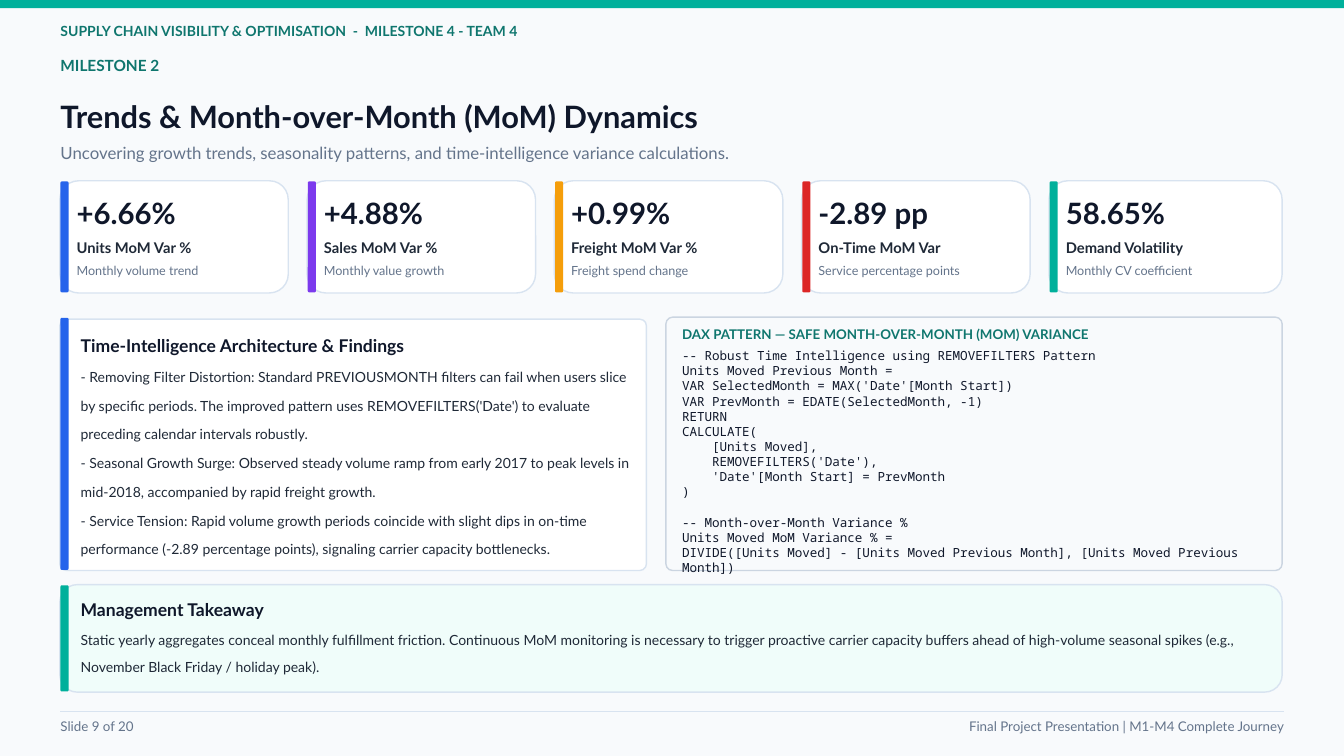
from dataclasses import dataclass, field

from pptx import Presentation
from pptx.dml.color import RGBColor
from pptx.enum.shapes import MSO_CONNECTOR, MSO_SHAPE
from pptx.enum.text import MSO_ANCHOR, MSO_AUTO_SIZE, PP_ALIGN
from pptx.oxml.ns import qn
from pptx.slide import Slide
from pptx.util import Emu, Pt

EMU_PER_PX = 9144  # 100 px to the inch


@dataclass(frozen=True)
class TextStyle:
    size: float
    color: str
    bold: bool = False
    font: str = "Lato"


@dataclass(frozen=True)
class Theme:
    background: str = "F8FAFC"
    white: str = "FFFFFF"
    mint: str = "F0FDFA"
    border: str = "D8E3F0"
    code_border: str = "CBD5E1"
    teal: str = "00B09B"
    blue: str = "2563EB"
    purple: str = "7C3AED"
    amber: str = "F59E0B"
    red: str = "DC2626"
    banner: TextStyle = TextStyle(15, "0F766E", True)
    milestone: TextStyle = TextStyle(16.5, "0F766E", True)
    title: TextStyle = TextStyle(33, "0F172A", True)
    subtitle: TextStyle = TextStyle(18, "64748B")
    value: TextStyle = TextStyle(31.5, "0F172A", True)
    label: TextStyle = TextStyle(15.8, "1F2937", True)
    note: TextStyle = TextStyle(13.5, "64748B")
    heading: TextStyle = TextStyle(18.8, "0F172A", True)
    body: TextStyle = TextStyle(15, "1F2937")
    code_title: TextStyle = TextStyle(14.3, "0F766E", True)
    code: TextStyle = TextStyle(13.5, "0F172A", font="Noto Sans Mono")
    footer: TextStyle = TextStyle(14.3, "64748B")


@dataclass(frozen=True)
class Box:
    left: int
    top: int
    width: int
    height: int

    def emu(self) -> tuple[Emu, ...]:
        return tuple(Emu(n * EMU_PER_PX) for n in (self.left, self.top, self.width, self.height))


@dataclass(frozen=True)
class Line:
    text: str
    style: TextStyle
    leading: float
    space_before: float = 0


@dataclass(frozen=True)
class TextBlock:
    box: Box
    lines: list[Line]
    align: PP_ALIGN = PP_ALIGN.LEFT


@dataclass(frozen=True)
class Panel:
    box: Box
    radius: int
    fill: str
    border: str
    accent: str = ""
    accent_box: Box = field(default=Box(0, 0, 0, 0))


@dataclass(frozen=True)
class Metric:
    value: str
    label: str
    note: str
    accent: str


THEME = Theme()

METRICS = [
    Metric("+6.66%", "Units MoM Var %", "Monthly volume trend", THEME.blue),
    Metric("+4.88%", "Sales MoM Var %", "Monthly value growth", THEME.purple),
    Metric("+0.99%", "Freight MoM Var %", "Freight spend change", THEME.amber),
    Metric("-2.89 pp", "On-Time MoM Var", "Service percentage points", THEME.red),
    Metric("58.65%", "Demand Volatility", "Monthly CV coefficient", THEME.teal),
]

PANELS = [
    Panel(Box(89, 475, 873, 374), 10, THEME.white, THEME.border, THEME.blue, Box(90, 473, 12, 375)),
    Panel(Box(991, 472, 917, 377), 10, THEME.background, THEME.code_border),
    Panel(Box(89, 870, 1819, 160), 26, THEME.mint, THEME.border, THEME.teal, Box(90, 871, 12, 158)),
]

FINDINGS = [
    "- Removing Filter Distortion: Standard PREVIOUSMONTH filters can fail when users slice by specific "
    "periods. The improved pattern uses REMOVEFILTERS('Date') to evaluate preceding calendar intervals robustly.",
    "- Seasonal Growth Surge: Observed steady volume ramp from early 2017 to peak levels in mid-2018, "
    "accompanied by rapid freight growth.",
    "- Service Tension: Rapid volume growth periods coincide with slight dips in on-time performance "
    "(-2.89 percentage points), signaling carrier capacity bottlenecks.",
]

TAKEAWAY = (
    "Static yearly aggregates conceal monthly fulfillment friction. Continuous MoM monitoring is necessary to "
    "trigger proactive carrier capacity buffers ahead of high-volume seasonal spikes (e.g., November Black "
    "Friday / holiday peak)."
)

PREVIOUS_MONTH_CODE = """-- Robust Time Intelligence using REMOVEFILTERS Pattern
Units Moved Previous Month =
VAR SelectedMonth = MAX('Date'[Month Start])
VAR PrevMonth = EDATE(SelectedMonth, -1)
RETURN
CALCULATE(
    [Units Moved],
    REMOVEFILTERS('Date'),
    'Date'[Month Start] = PrevMonth
)"""
VARIANCE_CODE = """-- Month-over-Month Variance %
Units Moved MoM Variance % =
DIVIDE([Units Moved] - [Units Moved Previous Month], [Units Moved Previous Month])"""
CODE_LEADING = 16.2


def code_lines(code: str, gap: float = 0) -> list[Line]:
    """One line per row of code, with a gap above the first."""
    return [Line(row, THEME.code, CODE_LEADING, 0 if index else gap)
            for index, row in enumerate(code.splitlines())]


TEXT_BLOCKS = [
    TextBlock(Box(90, 33, 1201, 45),
              [Line("SUPPLY CHAIN VISIBILITY & OPTIMISATION  -  MILESTONE 4 - TEAM 4", THEME.banner, 18)]),
    TextBlock(Box(90, 83, 1201, 38), [Line("MILESTONE 2", THEME.milestone, 19.8)]),
    TextBlock(Box(90, 145, 1801, 53), [Line("Trends & Month-over-Month (MoM) Dynamics", THEME.title, 39.6)]),
    TextBlock(Box(90, 213, 1801, 29),
              [Line("Uncovering growth trends, seasonality patterns, and time-intelligence variance calculations.",
                    THEME.subtitle, 21.6)]),
    TextBlock(Box(120, 477, 818, 349),
              [Line("Time-Intelligence Architecture & Findings", THEME.heading, 38.5),
               *(Line(finding, THEME.body, 30.8) for finding in FINDINGS)]),
    TextBlock(Box(1015, 485, 868, 33),
              [Line("DAX PATTERN — SAFE MONTH-OVER-MONTH (MOM) VARIANCE", THEME.code_title, 17.1)]),
    TextBlock(Box(1015, 518, 868, 318), code_lines(PREVIOUS_MONTH_CODE) + code_lines(VARIANCE_CODE, CODE_LEADING)),
    TextBlock(Box(120, 892, 1764, 104),
              [Line("Management Takeaway", THEME.heading, 22.5), Line(TAKEAWAY, THEME.body, 29.6)]),
    TextBlock(Box(90, 1069, 600, 38), [Line("Slide 9 of 20", THEME.footer, 17.1)]),
    TextBlock(Box(1311, 1069, 600, 38),
              [Line("Final Project Presentation | M1-M4 Complete Journey", THEME.footer, 17.1)], PP_ALIGN.RIGHT),
]


def set_attributes(target: object, values: dict[str, object]) -> None:
    for name, value in values.items():
        setattr(target, name, value)


def draw_rectangle(slide: Slide, box: Box, fill: str, radius: int = 0, border: str = "") -> None:
    kind = MSO_SHAPE.ROUNDED_RECTANGLE if radius else MSO_SHAPE.RECTANGLE
    shape = slide.shapes.add_shape(kind, *box.emu())
    shape.shadow.inherit = False
    if radius:
        shape.adjustments[0] = radius / min(box.width, box.height)
    shape.fill.solid()
    shape.fill.fore_color.rgb = RGBColor.from_string(fill)
    if border:
        shape.line.color.rgb = RGBColor.from_string(border)
        shape.line.width = Pt(1.5)
    else:
        shape.line.fill.background()


def draw_panel(slide: Slide, panel: Panel) -> None:
    draw_rectangle(slide, panel.box, panel.fill, panel.radius, panel.border)
    if panel.accent:
        draw_rectangle(slide, panel.accent_box, panel.accent, 2)


def draw_text(slide: Slide, block: TextBlock) -> None:
    frame = slide.shapes.add_textbox(*block.box.emu()).text_frame
    set_attributes(frame, {"word_wrap": True, "auto_size": MSO_AUTO_SIZE.SHAPE_TO_FIT_TEXT,
                           "vertical_anchor": MSO_ANCHOR.TOP, "margin_left": 0, "margin_top": 0,
                           "margin_right": 0, "margin_bottom": 0})
    for index, line in enumerate(block.lines):
        paragraph = frame.add_paragraph() if index else frame.paragraphs[0]
        set_attributes(paragraph, {"alignment": block.align, "line_spacing": Pt(line.leading),
                                   "space_before": Pt(line.space_before)})
        run = paragraph.add_run()
        run.text = line.text
        set_attributes(run.font, {"name": line.style.font, "size": Pt(line.style.size), "bold": line.style.bold})
        run.font.color.rgb = RGBColor.from_string(line.style.color)


def draw_metric(slide: Slide, metric: Metric, left: int, width: int) -> None:
    draw_panel(slide, Panel(Box(left, 269, width, 167), 28, THEME.white, THEME.border,
                            metric.accent, Box(left + 1, 270, 12, 165)))
    draw_text(slide, TextBlock(Box(left + 25, 266, width - 38, 147), [
        Line(metric.value, THEME.value, 55.2), Line(metric.label, THEME.label, 27.6),
        Line(metric.note, THEME.note, 23.6)]))


def draw_footer_rule(slide: Slide) -> None:
    left, top, right, bottom = Box(90, 1059, 1911, 1059).emu()
    rule = slide.shapes.add_connector(MSO_CONNECTOR.STRAIGHT, left, top, right, bottom)
    rule.line.color.rgb = RGBColor.from_string(THEME.border)
    rule.line.width = Pt(1.75)
    properties = rule._element.spPr
    properties.append(properties.makeelement(qn("a:effectLst"), {}))


def main() -> None:
    presentation = Presentation()
    set_attributes(presentation, {"slide_width": Emu(2000 * EMU_PER_PX), "slide_height": Emu(1125 * EMU_PER_PX)})
    slide = presentation.slides.add_slide(presentation.slide_layouts[6])
    slide.background.fill.solid()
    slide.background.fill.fore_color.rgb = RGBColor.from_string(THEME.background)
    draw_rectangle(slide, Box(0, 0, 2000, 12), THEME.teal)
    for index, metric in enumerate(METRICS):
        draw_metric(slide, metric, 89 + 368 * index, 347 if metric is METRICS[-1] else 340)
    for panel in PANELS:
        draw_panel(slide, panel)
    for block in TEXT_BLOCKS:
        draw_text(slide, block)
    draw_footer_rule(slide)
    presentation.save("out.pptx")


if __name__ == "__main__":
    main()
